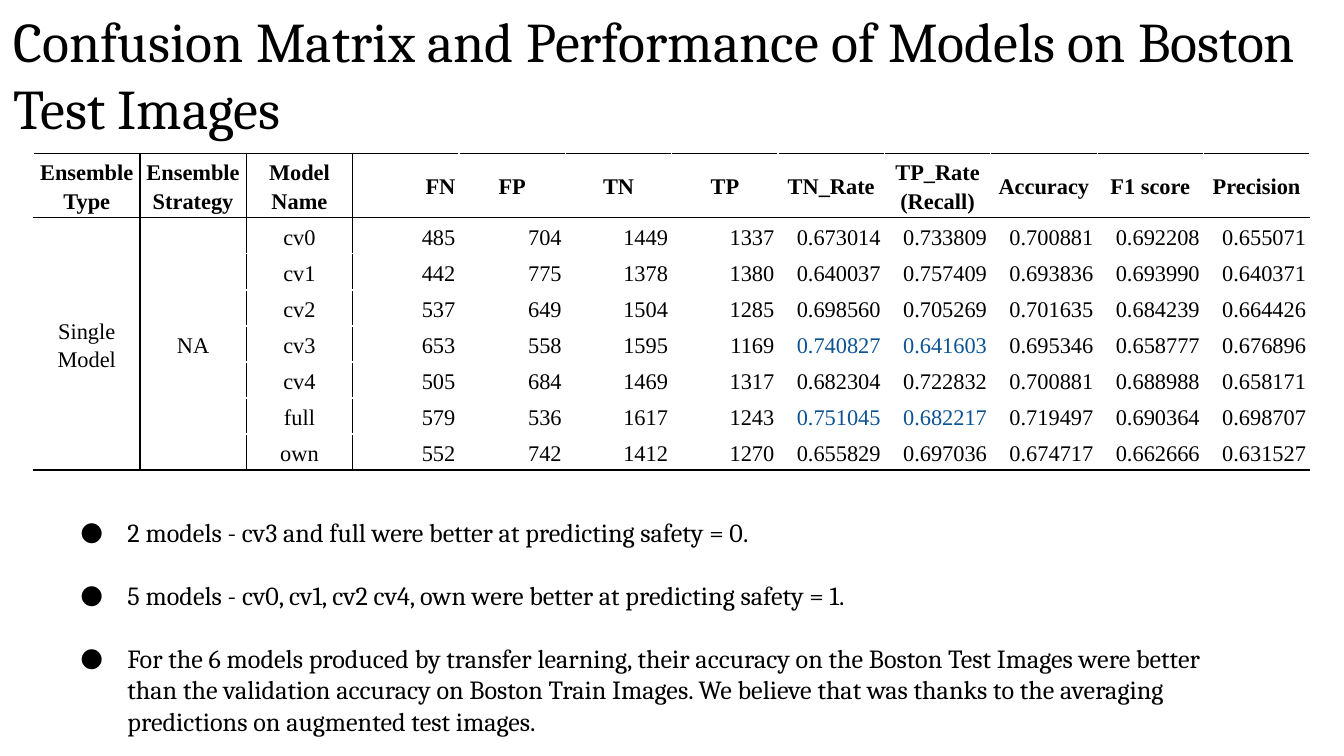
from lxml import etree
from pptx import Presentation
from pptx.dml.color import RGBColor
from pptx.enum.text import MSO_ANCHOR, PP_ALIGN
from pptx.oxml.ns import qn
from pptx.util import Inches, Pt

MIDDLE, BOTTOM, TOP = MSO_ANCHOR.MIDDLE, MSO_ANCHOR.BOTTOM, MSO_ANCHOR.TOP
LEFT, CENTER, RIGHT = PP_ALIGN.LEFT, PP_ALIGN.CENTER, PP_ALIGN.RIGHT
BLACK = RGBColor(0x00, 0x00, 0x00)
WHITE = RGBColor(0xFF, 0xFF, 0xFF)
BLUE = RGBColor(0x0B, 0x53, 0x94)

TITLE = "Confusion Matrix and Performance of Models on Boston Test Images"
HEADS = ["Ensemble Type", "Ensemble Strategy", "Model Name", "FN", "FP", "TN", "TP",
         "TN_Rate", "TP_Rate (Recall)", "Accuracy", "F1 score", "Precision"]
GROUP = ["Single Model", "NA"]
SCORES = [
    "cv0 485 704 1449 1337 0.673014 0.733809 0.700881 0.692208 0.655071",
    "cv1 442 775 1378 1380 0.640037 0.757409 0.693836 0.693990 0.640371",
    "cv2 537 649 1504 1285 0.698560 0.705269 0.701635 0.684239 0.664426",
    "cv3 653 558 1595 1169 0.740827 0.641603 0.695346 0.658777 0.676896",
    "cv4 505 684 1469 1317 0.682304 0.722832 0.700881 0.688988 0.658171",
    "full 579 536 1617 1243 0.751045 0.682217 0.719497 0.690364 0.698707",
    "own 552 742 1412 1270 0.655829 0.697036 0.674717 0.662666 0.631527",
]
NOTES = [
    "2 models - cv3 and full were better at predicting safety = 0.",
    "5 models - cv0, cv1, cv2 cv4, own were better at predicting safety = 1.",
    "For the 6 models produced by transfer learning, their accuracy on the Boston Test "
    "Images were better than the validation accuracy on Boston Train Images. We believe "
    "that was thanks to the averaging predictions on augmented test images.",
]


class Deck:
    """Holds the style and the current slide, and draws each kind of element."""

    serif, grid = "Cambria", "Times New Roman"

    def __init__(self, wide, high):
        self.show = Presentation()
        self.show.slide_width, self.show.slide_height = Inches(wide), Inches(high)
        self.slide = self.show.slides.add_slide(self.show.slide_layouts[6])

    def run(self, para, text, face, size, color=BLACK, bold=False):
        part = para.add_run()
        part.text = text
        font = part.font
        font.name, font.size, font.bold = face, Pt(size), bold
        font.color.rgb = color

    def frame(self, left, top, wide, high, anchor):
        box = self.slide.shapes.add_textbox(
            Inches(left), Inches(top), Inches(wide), Inches(high))
        frame = box.text_frame
        frame.word_wrap, frame.vertical_anchor = True, anchor
        frame.margin_left = frame.margin_right = Inches(0.1)
        frame.margin_top = frame.margin_bottom = Inches(0.1)
        return frame

    def title(self, text, *place):
        para = self.frame(*place, BOTTOM).paragraphs[0]
        para.alignment = LEFT
        self.run(para, text, self.serif, 30)

    def list(self, items, *place):
        frame = self.frame(*place, TOP)
        for i, item in enumerate(items):
            para = frame.add_paragraph() if i else frame.paragraphs[0]
            props = para._p.get_or_add_pPr()
            props.set("marL", str(Inches(0.5)))
            props.set("indent", str(Inches(-0.35)))
            tint = etree.SubElement(props, qn("a:buClr"))
            etree.SubElement(tint, qn("a:srgbClr"), val=str(BLACK))
            etree.SubElement(props, qn("a:buFont"), typeface=self.serif)
            etree.SubElement(props, qn("a:buChar"), char="●")
            if i:
                para.space_before = Pt(17)
            self.run(para, item, self.serif, 14)

    def edges(self, cell, **dark):
        props = cell._tc.get_or_add_tcPr()
        for i, side in enumerate("LRTB"):
            line = etree.Element(qn("a:ln" + side), w=str(Pt(0.75)))
            fill = etree.SubElement(line, qn("a:solidFill"))
            etree.SubElement(fill, qn("a:srgbClr"), val=str(BLACK if dark[side] else WHITE))
            props.insert(i, line)

    def cell(self, cell, text, align, color, bold):
        cell.vertical_anchor = MIDDLE
        cell.margin_left = cell.margin_right = Pt(2)
        cell.margin_top = cell.margin_bottom = Pt(2)
        para = cell.text_frame.paragraphs[0]
        para.alignment, para.line_spacing = align, 1.15
        if text:
            self.run(para, text, self.grid, 12, color, bold)

    def table(self, rows, left, top, wide, high):
        last = len(rows) - 1
        table = self.slide.shapes.add_table(
            len(rows), len(rows[0]), Inches(left), Inches(top),
            Inches(wide), Inches(high)).table
        table.first_row = table.horz_banding = False
        for r, row in enumerate(rows):
            table.rows[r].height = Inches(0.21 if r else 0.29)
            for c, text in enumerate(row):
                cell = table.cell(r, c)
                cell.fill.background()
                right = c > 2 and (r > 0 or c == 3)
                blue = row[2] in ("cv3", "full") and c in (7, 8)
                self.cell(cell, text, RIGHT if right else CENTER,
                          BLUE if blue else BLACK, r == 0)
                self.edges(cell, L=1 <= c <= 3, R=c <= 2, T=r <= 1,
                           B=r in (0, last) or (r == 1 and c < 2))
        for c in range(2):
            table.cell(1, c).merge(table.cell(last, c))


def main():
    deck = Deck(10, 5.625)
    rows = [HEADS]
    for i, line in enumerate(SCORES):
        rows.append((["", ""] if i else GROUP) + line.split())
    deck.table(rows, 0.25, 1.14, 9.5, 1.76)
    deck.list(NOTES, 0.35, 3.74, 8.86, 1.87)
    deck.title(TITLE, 0, 0.08, 10, 1.07)
    deck.show.save("out.pptx")


if __name__ == "__main__":
    main()
